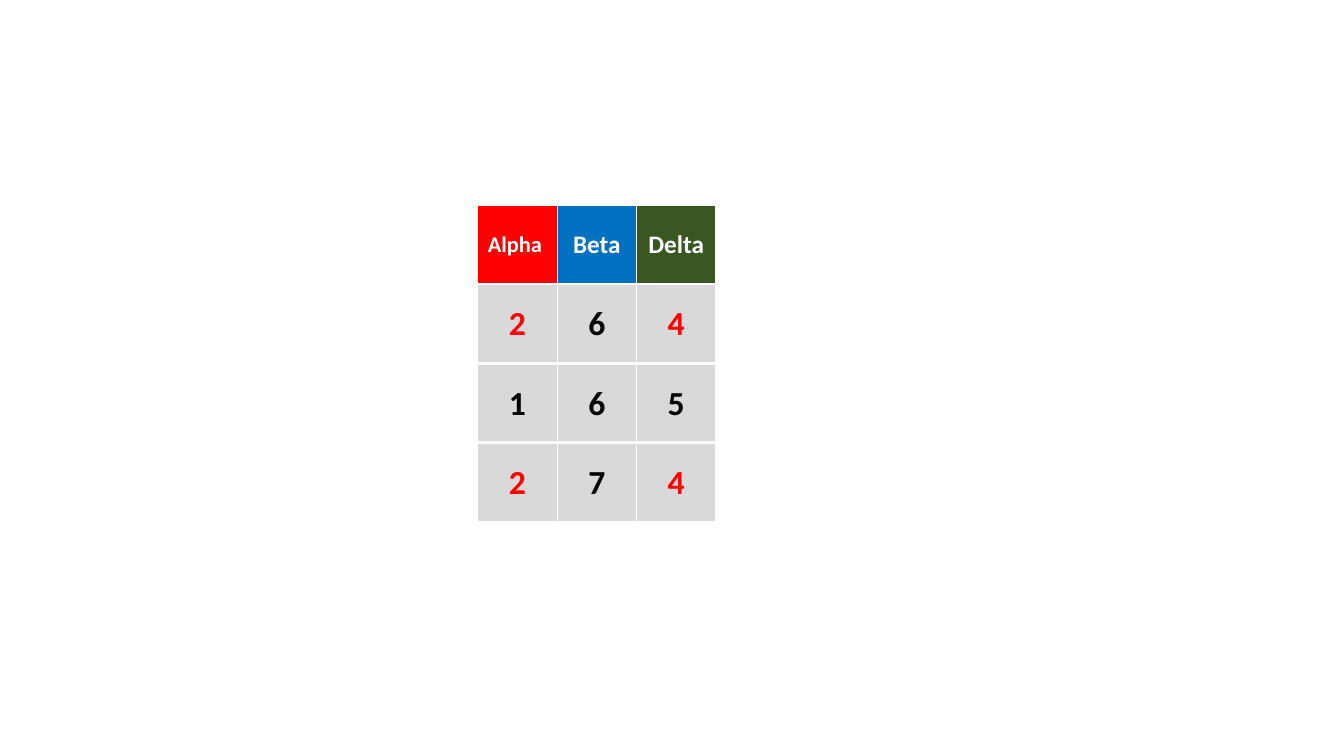
import lxml.etree
import pptx
import pptx.dml.color
import pptx.enum.text
import pptx.oxml.ns
import pptx.util

Cm = pptx.util.Cm
Pt = pptx.util.Pt
ALIGN = pptx.enum.text.PP_ALIGN

COLORS = {
    "white": "FFFFFF",
    "black": "000000",
    "red": "FF0000",
    "blue": "0070C0",
    "green": "385723",
    "grey": "D9D9D9",
}

# Label, fill, text size, alignment
HEADERS = [
    ("Alpha", "red", 16, ALIGN.LEFT),
    ("Beta", "blue", 18, ALIGN.CENTER),
    ("Delta", "green", 18, ALIGN.CENTER),
]
NUMBERS = [(2, 6, 4), (1, 6, 5), (2, 7, 4)]
RED_NUMBERS = {2, 4}
BORDER_WIDTHS = {"lnL": 1, "lnR": 1, "lnT": 1, "lnB": 3}

GRID_LEFT, GRID_TOP, TILE_SIZE = 12.04, 5.17, 2


def rgb(name):
    return pptx.dml.color.RGBColor.from_string(COLORS[name])


def add_borders(cell):
    properties = cell._tc.get_or_add_tcPr()
    qn = pptx.oxml.ns.qn
    for side, width in BORDER_WIDTHS.items():
        line = lxml.etree.SubElement(properties, qn(f"a:{side}"), w=str(Pt(width)))
        fill = lxml.etree.SubElement(line, qn("a:solidFill"))
        lxml.etree.SubElement(fill, qn("a:srgbClr"), val=COLORS["white"])


def add_tile(slide, row, column, text, fill, color, size, alignment):
    """Add a one-cell table at a place in the grid."""
    table = slide.shapes.add_table(
        1, 1,
        Cm(GRID_LEFT + column * TILE_SIZE), Cm(GRID_TOP + row * TILE_SIZE),
        Cm(TILE_SIZE), Cm(TILE_SIZE),
    ).table
    cell = table.cell(0, 0)
    add_borders(cell)
    cell.fill.solid()
    cell.fill.fore_color.rgb = rgb(fill)
    cell.vertical_anchor = pptx.enum.text.MSO_ANCHOR.MIDDLE
    cell.text = text
    paragraph = cell.text_frame.paragraphs[0]
    paragraph.alignment = alignment
    paragraph.font.name = "Calibri"
    paragraph.font.size = Pt(size)
    paragraph.font.bold = True
    paragraph.font.color.rgb = rgb(color)


def main():
    presentation = pptx.Presentation()
    presentation.slide_width = Cm(33.87)
    presentation.slide_height = Cm(19.05)
    slide = presentation.slides.add_slide(presentation.slide_layouts[6])

    for column, (label, fill, size, alignment) in enumerate(HEADERS):
        add_tile(slide, 0, column, label, fill, "white", size, alignment)
    for row, numbers in enumerate(NUMBERS, start=1):
        for column, number in enumerate(numbers):
            color = "red" if number in RED_NUMBERS else "black"
            add_tile(slide, row, column, str(number), "grey", color, 24, ALIGN.CENTER)

    presentation.save("out.pptx")


if __name__ == "__main__":
    main()
